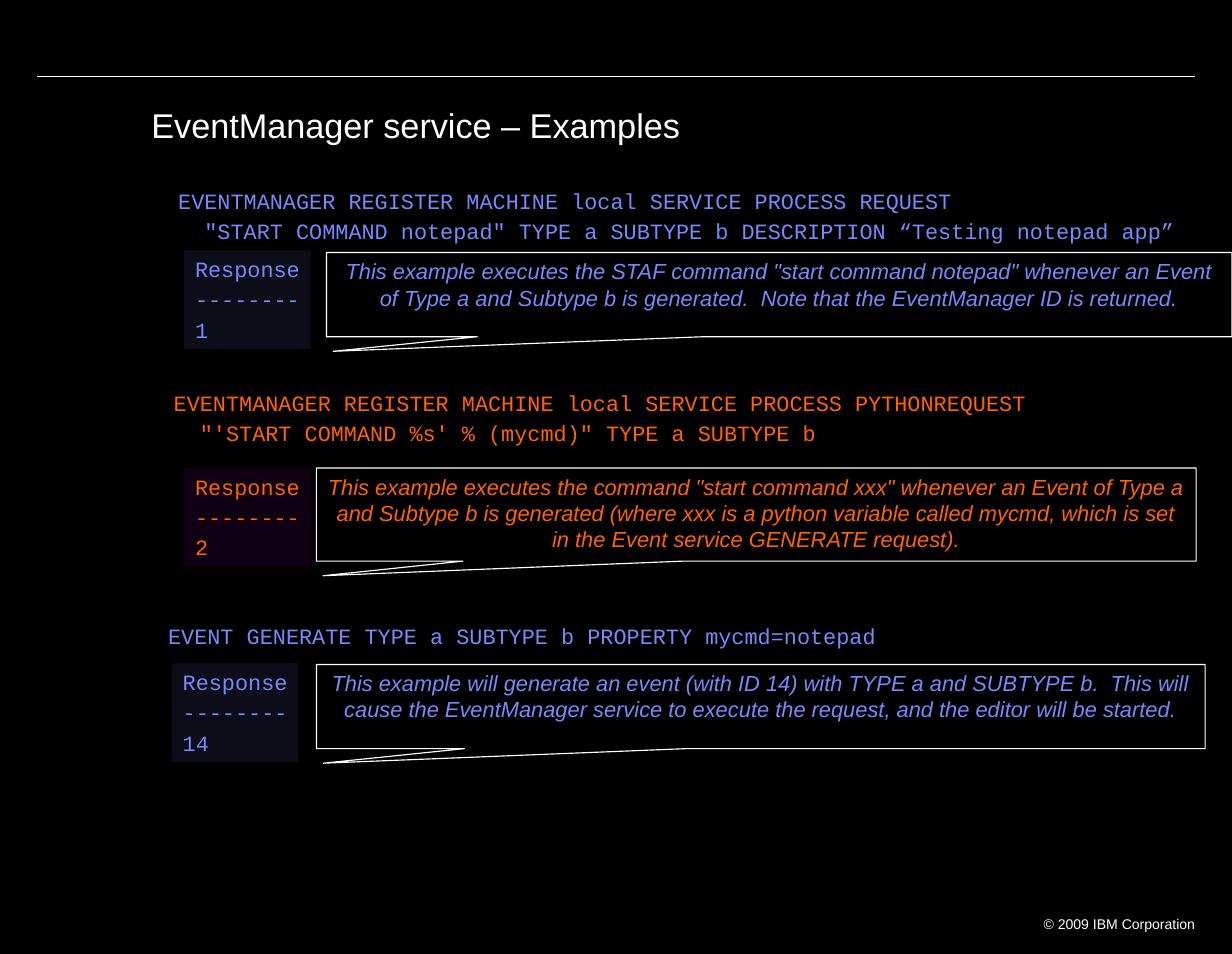
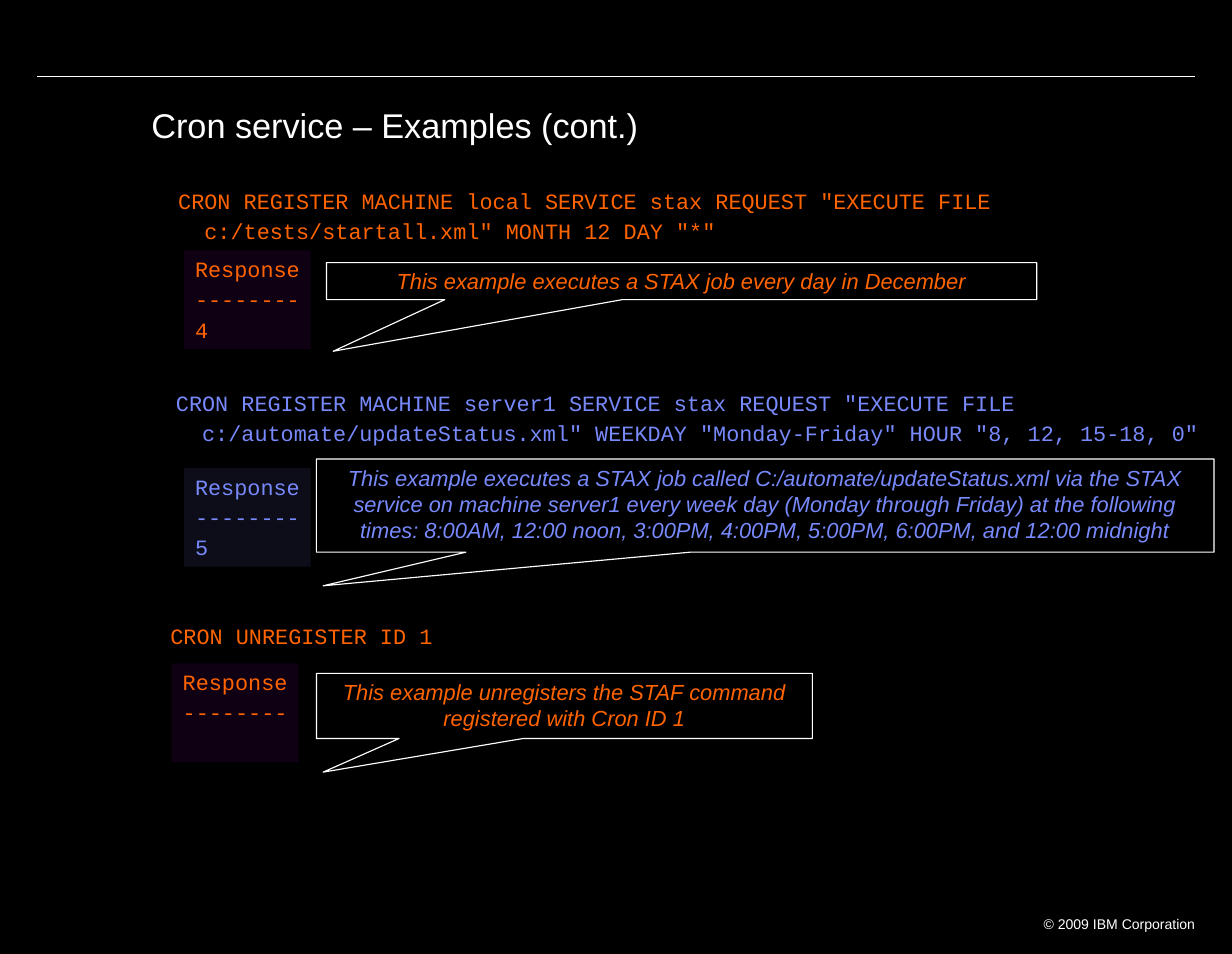
from dataclasses import dataclass

from pptx import Presentation
from pptx import util as u
from pptx.dml.color import RGBColor
from pptx.enum import shapes, text
from pptx.oxml.ns import qn
from lxml import etree

BLACK, WHITE = "000000", "FFFFFF"
SANS, MONO = "Arial", "Courier New"
CODE_SIZE = 14
TIP_INSET = 0.06


@dataclass(frozen=True)
class Theme:
    ink: str
    tint: str


@dataclass(frozen=True)
class Box:
    left: float
    top: float
    width: float
    height: float


@dataclass(frozen=True)
class Row:
    command_top: float
    command_height: float
    response_left: float
    response_top: float


@dataclass(frozen=True)
class Example:
    theme: Theme
    command_left: float
    command: tuple[str, ...]
    result: str
    callout: Box
    tip_drop: float
    note: str


@dataclass(frozen=True)
class Page:
    title: str
    examples: tuple[Example, ...]


@dataclass(frozen=True)
class Style:
    font: str
    size: int
    color: str
    italic: bool = False
    align: text.PP_ALIGN = text.PP_ALIGN.LEFT
    after: float = 0
    spacing: float = 1.0
    margins: tuple[float, float] = (0.1, 0.05)
    wrap: bool = True


BLUE = Theme("7889FB", "7889FB")
ORANGE = Theme("FF6400", "9900CC")
TITLE = Style(SANS, 22, WHITE, spacing=0.9, margins=(0.11, 0.06))
FOOTER = Style(SANS, 9, WHITE, align=text.PP_ALIGN.RIGHT, margins=(0.11, 0.06))

ROWS = (
    Row(1.62, 0.61, 1.64, 2.23),
    Row(3.42, 0.61, 1.64, 4.17),
    Row(5.5, 0.34, 1.53, 5.91),
)

PAGES = (
    Page("EventManager service – Examples", (
        Example(
            BLUE, 1.49,
            ("EVENTMANAGER REGISTER MACHINE local SERVICE PROCESS REQUEST",
             '  "START COMMAND notepad" TYPE a SUBTYPE b DESCRIPTION “Testing notepad app”'),
            "1", Box(2.91, 2.25, 8.07, 0.75), 0.13,
            'This example executes the STAF command "start command notepad" whenever '
            "an Event of Type a and Subtype b is generated.  Note that the "
            "EventManager ID is returned."),
        Example(
            ORANGE, 1.45,
            ("EVENTMANAGER REGISTER MACHINE local SERVICE PROCESS PYTHONREQUEST",
             "  \"'START COMMAND %s' % (mycmd)\" TYPE a SUBTYPE b"),
            "2", Box(2.82, 4.17, 7.84, 0.83), 0.13,
            'This example executes the command "start command xxx" whenever an Event '
            "of Type a and Subtype b is generated (where xxx is a python variable "
            "called mycmd, which is set in the Event service GENERATE request)."),
        Example(
            BLUE, 1.4,
            ("EVENT GENERATE TYPE a SUBTYPE b PROPERTY mycmd=notepad",),
            "14", Box(2.82, 5.92, 7.92, 0.75), 0.13,
            "This example will generate an event (with ID 14) with TYPE a and "
            "SUBTYPE b.  This will cause the EventManager service to execute the "
            "request, and the editor will be started."),
    )),
    Page("Cron service – Examples (cont.)", (
        Example(
            ORANGE, 1.49,
            ('CRON REGISTER MACHINE local SERVICE stax REQUEST "EXECUTE FILE',
             '  c:/tests/startall.xml" MONTH 12 DAY "*"'),
            "4", Box(2.91, 2.34, 6.33, 0.33), 0.46,
            "This example executes a STAX job every day in December"),
        Example(
            BLUE, 1.47,
            ('CRON REGISTER MACHINE server1 SERVICE stax REQUEST "EXECUTE FILE',
             '  c:/automate/updateStatus.xml" WEEKDAY "Monday-Friday" HOUR "8, 12, 15-18, 0"'),
            "5", Box(2.82, 4.09, 8, 0.83), 0.3,
            "This example executes a STAX job called C:/automate/updateStatus.xml "
            "via the STAX service on machine server1 every week day (Monday through "
            "Friday) at the following times: 8:00AM, 12:00 noon, 3:00PM, 4:00PM, "
            "5:00PM, 6:00PM, and 12:00 midnight"),
        Example(
            ORANGE, 1.42,
            ("CRON UNREGISTER ID 1",),
            "", Box(2.82, 6, 4.42, 0.58), 0.3,
            "This example unregisters the STAF command registered with Cron ID 1"),
    )),
)


def rgb(color: str) -> RGBColor:
    return RGBColor.from_string(color)


def place(box: Box) -> tuple[u.Length, ...]:
    return tuple(u.Inches(value) for value in (box.left, box.top, box.width, box.height))


def write(shape, lines: tuple[str, ...], style: Style) -> None:
    frame = shape.text_frame
    frame.word_wrap = style.wrap
    frame.vertical_anchor = text.MSO_ANCHOR.TOP
    frame.margin_left = frame.margin_right = u.Inches(style.margins[0])
    frame.margin_top = frame.margin_bottom = u.Inches(style.margins[1])
    for index, line in enumerate(lines):
        paragraph = frame.add_paragraph() if index else frame.paragraphs[0]
        paragraph.text = line
        paragraph.alignment = style.align
        paragraph.line_spacing = style.spacing
        paragraph.space_after = u.Pt(style.after)
        paragraph.font.name = style.font
        paragraph.font.size = u.Pt(style.size)
        paragraph.font.italic = style.italic
        paragraph.font.color.rgb = rgb(style.color)


def add_text(slide, box: Box, lines: tuple[str, ...], style: Style) -> None:
    write(slide.shapes.add_textbox(*place(box)), lines, style)


def add_filled(slide, kind: shapes.MSO_SHAPE, box: Box, color: str):
    shape = slide.shapes.add_shape(kind, *place(box))
    shape.shadow.inherit = False
    shape.fill.solid()
    shape.fill.fore_color.rgb = rgb(color)
    return shape


def add_rule(slide) -> None:
    rule = slide.shapes.add_connector(
        shapes.MSO_CONNECTOR.STRAIGHT,
        u.Inches(0.33), u.Inches(0.68), u.Inches(10.65), u.Inches(0.68))
    rule.line.color.rgb = rgb(WHITE)
    rule.line.width = u.Pt(0.75)
    etree.SubElement(rule.element.spPr, qn("a:effectLst"))


def add_response(slide, row: Row, example: Example) -> None:
    box = Box(row.response_left, row.response_top, 1.13, 0.88)
    shape = add_filled(slide, shapes.MSO_SHAPE.RECTANGLE, box, example.theme.tint)
    shape.line.fill.background()
    color = shape.element.spPr.find(qn("a:solidFill")).find(qn("a:srgbClr"))
    etree.SubElement(color, qn("a:alpha")).set("val", "10000")
    lines = ("Response", "--------") + ((example.result,) if example.result else ())
    write(shape, lines, Style(MONO, CODE_SIZE, example.theme.ink, after=2.6, wrap=False))


def add_callout(slide, example: Example) -> None:
    box = example.callout
    shape = add_filled(slide, shapes.MSO_SHAPE.RECTANGULAR_CALLOUT, box, BLACK)
    shape.line.color.rgb = rgb(WHITE)
    shape.line.width = u.Pt(0.75)
    shape.adjustments[0] = TIP_INSET / box.width - 0.5
    shape.adjustments[1] = example.tip_drop / box.height + 0.5
    write(shape, (example.note,), Style(
        SANS, CODE_SIZE, example.theme.ink, italic=True, align=text.PP_ALIGN.CENTER))


def add_example(slide, row: Row, example: Example) -> None:
    command_box = Box(example.command_left, row.command_top, 9.5, row.command_height)
    add_text(slide, command_box, example.command,
             Style(MONO, CODE_SIZE, example.theme.ink, after=2.6))
    add_response(slide, row, example)
    add_callout(slide, example)


def add_page(presentation, page: Page) -> None:
    slide = presentation.slides.add_slide(presentation.slide_layouts[6])
    add_rule(slide)
    add_text(slide, Box(9.11, 8.1, 1.65, 0.23), ("© 2009 IBM Corporation",), FOOTER)
    add_text(slide, Box(1.24, 0.91, 9.9, 0.62), (page.title,), TITLE)
    for row, example in zip(ROWS, page.examples):
        add_example(slide, row, example)


def main() -> None:
    presentation = Presentation()
    presentation.slide_width = u.Inches(10.98)
    presentation.slide_height = u.Inches(8.5)
    background = presentation.slide_master.background.fill
    background.solid()
    background.fore_color.rgb = rgb(BLACK)
    for page in PAGES:
        add_page(presentation, page)
    presentation.save("out.pptx")


if __name__ == "__main__":
    main()
